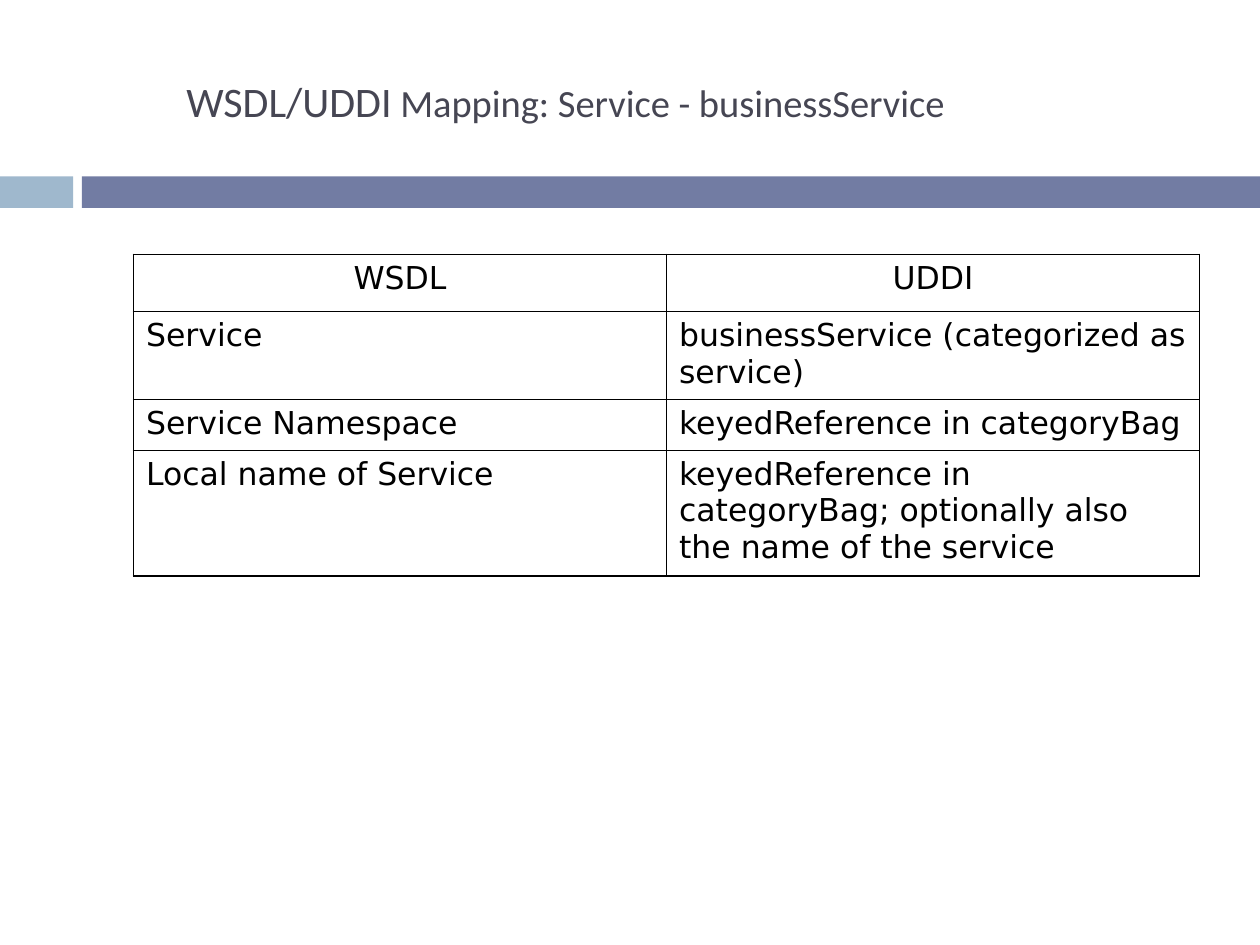
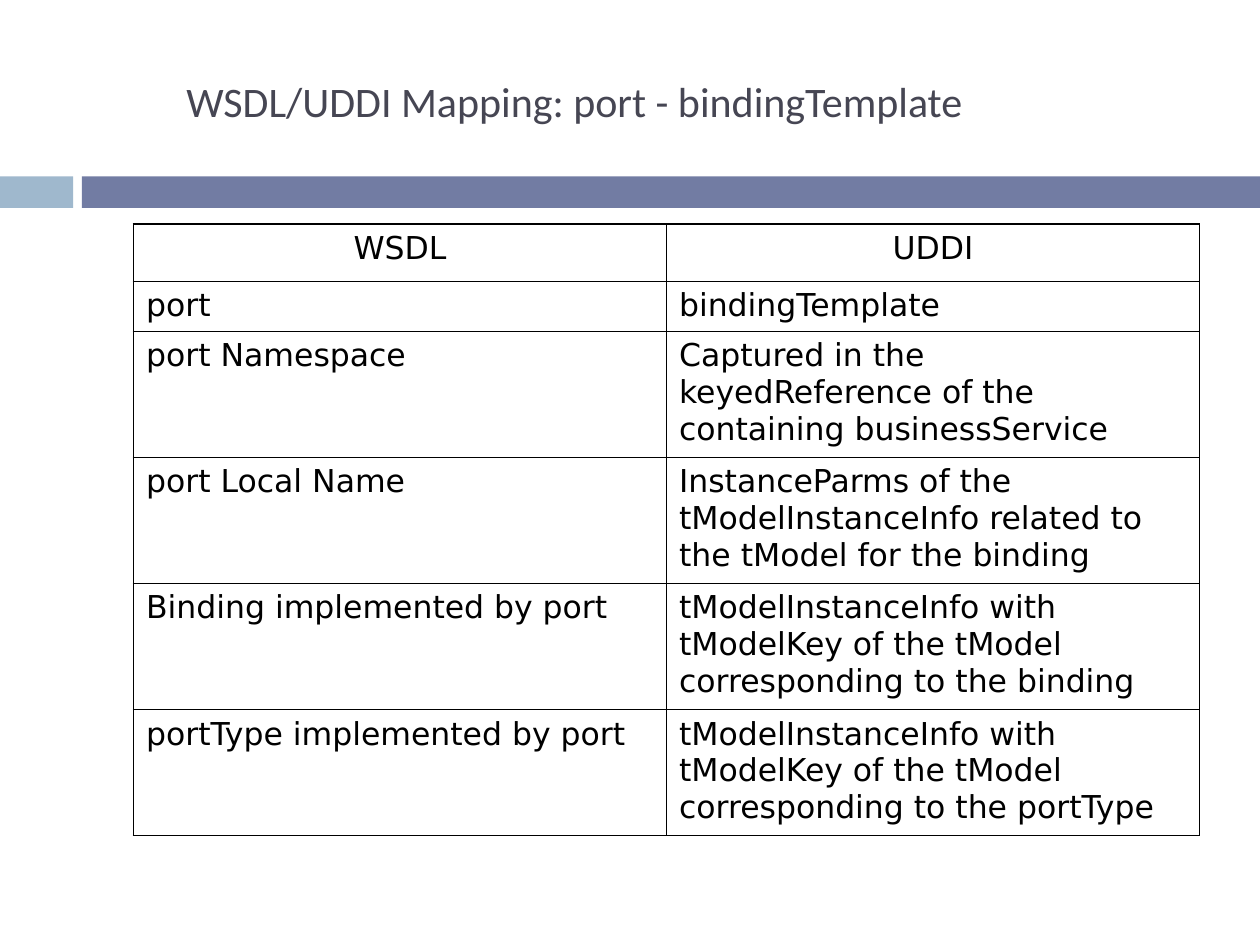
from lxml import etree
from pptx import Presentation
from pptx.dml.color import RGBColor
from pptx.enum import shapes, text
from pptx.oxml import ns
from pptx.util import Pt

COLORS = {"title": "464653", "accent": "9FB8CD", "band": "727CA3", "ink": "000000"}
BANDS = [("accent", 0, 41.76), ("band", 46.8, 673.2)]
BAND_TOP, BAND_HEIGHT = 100.8, 18
TABLE_LEFT, COLUMN_WIDTH = 76.32, 304.56
OUTER_LINE, INNER_LINE = 1.08, 0.45
INSETS = {"margin_left": Pt(7.2), "margin_right": Pt(7.2),
          "margin_top": Pt(3.6), "margin_bottom": Pt(3.6)}
HEADER = ("WSDL", "UDDI")

SLIDES = [
    {
        "title": [("WSDL/UDDI", 24), (" Mapping: Service - businessService", 22)],
        "top": 145.44,
        "heights": [32.4, 50.4, 28.8, 72],
        "rows": [
            HEADER,
            ("Service", "businessService (categorized as service)"),
            ("Service Namespace", "keyedReference in categoryBag"),
            ("Local name of Service",
             "keyedReference in categoryBag; optionally also the name of the service"),
        ],
    },
    {
        "title": [("WSDL/UDDI Mapping: port - bindingTemplate", 24)],
        "top": 128.16,
        "heights": [32.4, 28.8, 72, 72, 72, 72],
        "rows": [
            HEADER,
            ("port", "bindingTemplate"),
            ("port Namespace",
             "Captured in the keyedReference of the containing businessService"),
            ("port Local Name",
             "InstanceParms of the tModelInstanceInfo related to the tModel for the binding"),
            ("Binding implemented by port",
             "tModelInstanceInfo with tModelKey of the tModel corresponding to the binding"),
            ("portType implemented by port",
             "tModelInstanceInfo with tModelKey of the tModel corresponding to the portType"),
        ],
    },
]


def add_run(paragraph, wording, font_name, size, color):
    run = paragraph.add_run()
    run.text = wording
    for name, value in {"name": font_name, "size": Pt(size)}.items():
        setattr(run.font, name, value)
    run.font.color.rgb = RGBColor.from_string(COLORS[color])


def set_borders(cell, outer_sides):
    """Draw all four borders, thicker on the sides at the table's edge."""
    properties = cell._tc.get_or_add_tcPr()
    for position, side in enumerate("LRTB"):
        width = OUTER_LINE if side in outer_sides else INNER_LINE
        line = etree.Element(ns.qn(f"a:ln{side}"), w=str(int(Pt(width))))
        fill = etree.SubElement(line, ns.qn("a:solidFill"))
        etree.SubElement(fill, ns.qn("a:srgbClr"), val=COLORS["ink"])
        properties.insert(position, line)


presentation = Presentation()
presentation.slide_width, presentation.slide_height = Pt(720), Pt(540)

for content in SLIDES:
    slide = presentation.slides.add_slide(presentation.slide_layouts[6])

    for color, left, width in BANDS:
        band = slide.shapes.add_shape(shapes.MSO_SHAPE.RECTANGLE, Pt(left), Pt(BAND_TOP),
                                      Pt(width), Pt(BAND_HEIGHT))
        band.shadow.inherit = False
        band.fill.solid()
        band.fill.fore_color.rgb = RGBColor.from_string(COLORS[color])
        band.line.fill.background()

    title = slide.shapes.add_textbox(Pt(99.36), Pt(31.68), Pt(584.64), Pt(51.12))
    title_format = {"word_wrap": True, "vertical_anchor": text.MSO_ANCHOR.MIDDLE, **INSETS}
    for name, value in title_format.items():
        setattr(title.text_frame, name, value)
    for wording, size in content["title"]:
        add_run(title.text_frame.paragraphs[0], wording, "Calibri", size, "title")

    rows, heights = content["rows"], content["heights"]
    frame = slide.shapes.add_table(len(rows), len(HEADER), Pt(TABLE_LEFT), Pt(content["top"]),
                                   Pt(COLUMN_WIDTH * len(HEADER)), Pt(sum(heights)))
    table = frame.table
    for name in ("first_row", "horz_banding"):
        setattr(table, name, False)
    for column in table.columns:
        column.width = Pt(COLUMN_WIDTH)

    for row_index, (row, height) in enumerate(zip(rows, heights)):
        table.rows[row_index].height = Pt(height)
        for column_index, wording in enumerate(row):
            cell = table.cell(row_index, column_index)
            for name, value in INSETS.items():
                setattr(cell, name, value)
            cell.fill.background()
            outer_sides = "LR"[column_index]
            if row_index == 0:
                outer_sides += "T"
            if row_index == len(rows) - 1:
                outer_sides += "B"
            set_borders(cell, outer_sides)

            paragraph = cell.text_frame.paragraphs[0]
            paragraph.space_before = Pt(4.5)
            if row_index == 0:
                paragraph.alignment = text.PP_ALIGN.CENTER
            add_run(paragraph, wording, "DejaVu Sans", 18, "ink")

presentation.save("out.pptx")
